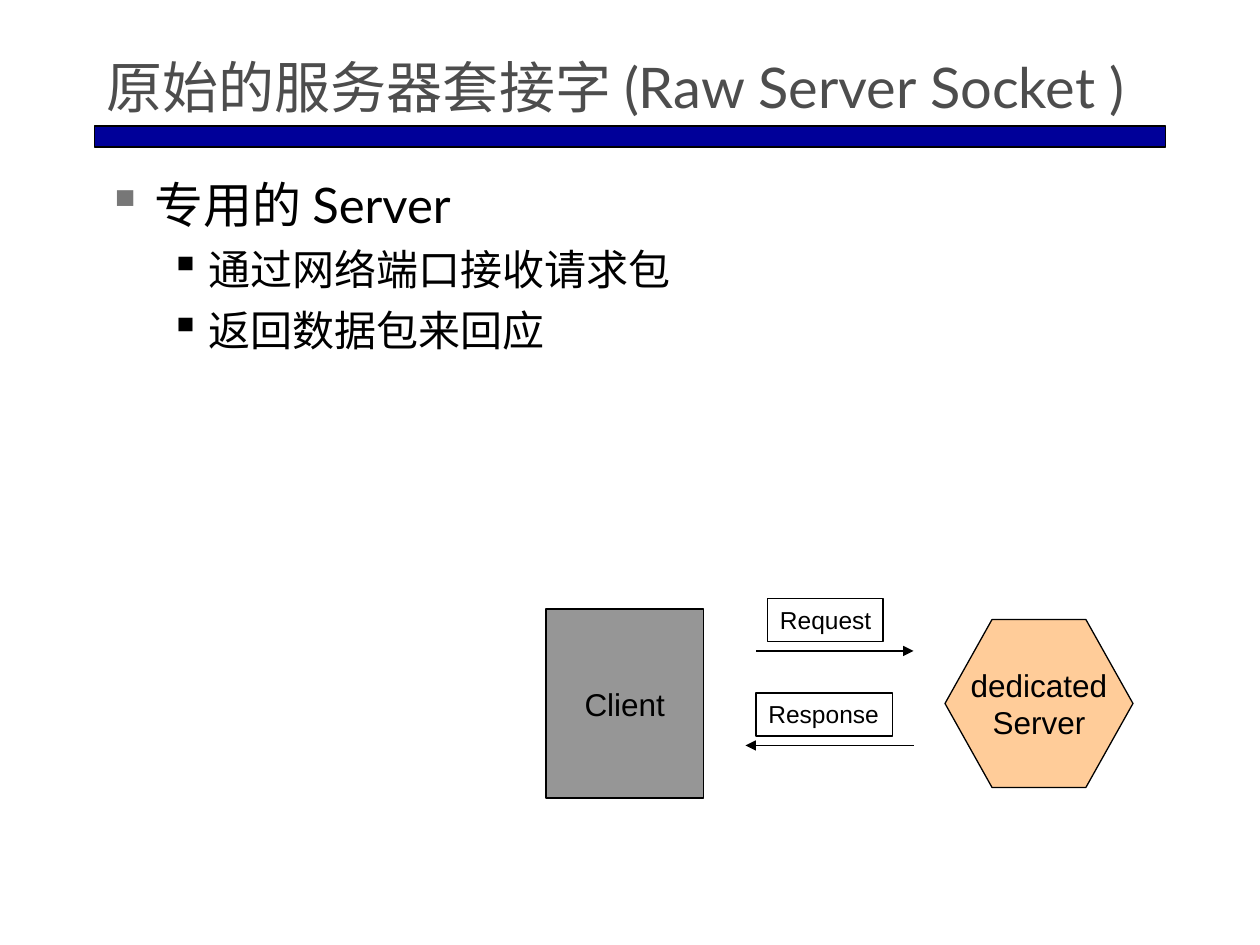
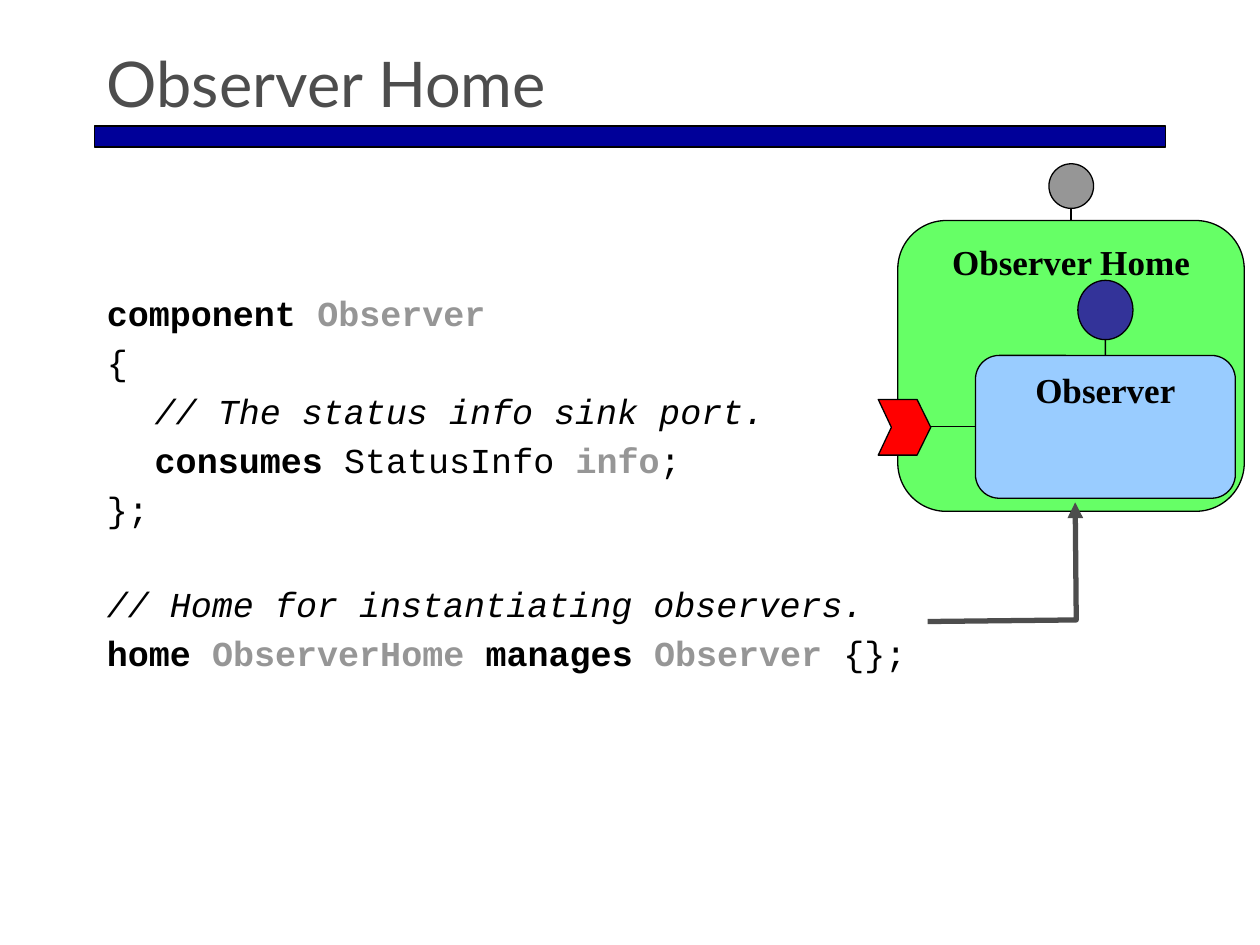
from lxml import etree
from pptx import Presentation
from pptx.dml.color import RGBColor
from pptx.enum.shapes import MSO_CONNECTOR, MSO_SHAPE
from pptx.enum.text import MSO_ANCHOR, PP_ALIGN
from pptx.oxml.ns import qn
from pptx.util import Inches, Pt

CELL = Inches(1) // 12  # the grid is 120 columns by 90 rows
LEFT_COLUMN, CONTENT_COLUMNS = 9, 102

BLACK = RGBColor(0x00, 0x00, 0x00)
NAVY = RGBColor(0x00, 0x00, 0x99)
INDIGO = RGBColor(0x33, 0x33, 0x99)
DARK_GRAY = RGBColor(0x4D, 0x4D, 0x4D)
BULLET_GRAY = RGBColor(0x77, 0x77, 0x77)
GRAY = RGBColor(0x96, 0x96, 0x96)
PEACH = RGBColor(0xFF, 0xCC, 0x99)
GREEN = RGBColor(0x66, 0xFF, 0x66)
SKY = RGBColor(0x99, 0xCC, 0xFF)
RED = RGBColor(0xFF, 0x00, 0x00)

HEADING_FONT, LABEL_FONT = "Lato", "Arial"
CODE_FONT, COMPONENT_FONT = "Courier New", "Times New Roman"
RECTANGLE, ROUNDED = MSO_SHAPE.RECTANGLE, MSO_SHAPE.ROUNDED_RECTANGLE
HEXAGON, OVAL = MSO_SHAPE.HEXAGON, MSO_SHAPE.OVAL
STRAIGHT = MSO_CONNECTOR.STRAIGHT
TOP, MIDDLE, BOTTOM = MSO_ANCHOR.TOP, MSO_ANCHOR.MIDDLE, MSO_ANCHOR.BOTTOM
LEFT, CENTER = PP_ALIGN.LEFT, PP_ALIGN.CENTER
TOP_SIDE, LEFT_SIDE = 0, 1


def place(page, kind, cells, fill=None):
    """Add a preset shape, or a wrapping text box if kind is None, on grid cells."""
    bounds = [round(CELL * cell) for cell in cells]
    if kind is None:
        box = page.shapes.add_textbox(*bounds)
        box.text_frame.word_wrap = True
        return box
    box = page.shapes.add_shape(kind, *bounds)
    box.shadow.inherit = False
    box.line.color.rgb = BLACK
    box.line.width = Pt(0.75)
    if fill is None:
        box.fill.background()
    else:
        box.fill.solid()
        box.fill.fore_color.rgb = fill
    box.text_frame.word_wrap = False
    return box


def write(para, text, *, size, font, color=BLACK, bold=False, italic=False, align=LEFT):
    para.alignment = align
    span = para.add_run()
    span.text = text
    span.font.size = Pt(size)
    span.font.name = font
    span.font.color.rgb = color
    span.font.bold = bold
    span.font.italic = italic


deck = Presentation()
deck.slide_width, deck.slide_height = CELL * 120, CELL * 90
blank = deck.slide_layouts[6]
connectors, arrows = [], []

# Shared title, band and body
pages, bodies = [], []
for title, size in (("原始的服务器套接字 (Raw Server Socket )", 32), ("Observer Home", 36)):
    page = deck.slides.add_slide(blank)
    place(page, RECTANGLE, (LEFT_COLUMN, 12, CONTENT_COLUMNS, 2), NAVY)
    title_box = place(page, None, (LEFT_COLUMN, 4, 107.8, 8))
    title_box.text_frame.vertical_anchor = BOTTOM
    write(title_box.text_frame.paragraphs[0], title,
          size=size, font=HEADING_FONT, color=DARK_GRAY)
    bodies.append(place(page, None, (LEFT_COLUMN, 16, CONTENT_COLUMNS, 64)).text_frame)
    pages.append(page)
socket_page, observer_page = pages
socket_body, code_body = bodies

# Server socket: bullets
bullets = [
    ("专用的 Server", 0, 28, 7, BULLET_GRAY),
    ("通过网络端口接收请求包", 1, 24, 6, BLACK),
    ("返回数据包来回应", 1, 24, 6, BLACK),
]
indents = [(0.38, -0.38), (0.81, -0.31)]
for index, (text, level, size, space, bullet_color) in enumerate(bullets):
    para = socket_body.add_paragraph() if index else socket_body.paragraphs[0]
    write(para, text, size=size, font=HEADING_FONT)
    para.level = level
    para.space_before = Pt(space)
    margin, indent = indents[level]
    properties = para._p.get_or_add_pPr()
    properties.set("marL", str(Inches(margin)))
    properties.set("indent", str(Inches(indent)))
    color_choice = etree.SubElement(properties, qn("a:buClr"))
    etree.SubElement(color_choice, qn("a:srgbClr"), val=str(bullet_color))
    etree.SubElement(properties, qn("a:buChar"), char="▪")

# Server socket: client, server and the messages between them
server = place(socket_page, HEXAGON, (90, 59, 17.9, 16), PEACH)
server.adjustments[0] = 0.28
client = place(socket_page, RECTANGLE, (52, 58, 15, 18), GRAY)
for box, lines in ((server, ("dedicated", "Server")), (client, ("Client",))):
    frame = box.text_frame
    frame.vertical_anchor = MIDDLE
    for index, line in enumerate(lines):
        para = frame.add_paragraph() if index else frame.paragraphs[0]
        write(para, line, size=18, font=LABEL_FONT, align=CENTER)

messages = [
    ("Request", (73.1, 57, 11, 4.1), 72, 87, 62),
    ("Response", (72, 66, 13, 4.1), 87, 71, 71),
]
for label, cells, start, end, row in messages:
    box = place(socket_page, RECTANGLE, cells)
    box.text_frame.vertical_anchor = TOP
    write(box.text_frame.paragraphs[0], label, size=14, font=LABEL_FONT)
    arrow = socket_page.shapes.add_connector(
        STRAIGHT, CELL * start, CELL * row, CELL * end, CELL * row)
    connectors.append(arrow)
    arrows.append(arrow)

# Observer home: code, each line as indent, space before and spans
plain, keyword = {}, {"bold": True}
comment, name = {"italic": True}, {"bold": True, "color": GRAY}
LINE_GAP, BLOCK_GAP = 6.3, 33
code = [
    (0, 0, [("component ", keyword), ("Observer", name)]),
    (0, LINE_GAP, [("{", plain)]),
    (0.38, LINE_GAP, [("// The status info sink port.", comment)]),
    (0.38, LINE_GAP, [("consumes", keyword), (" StatusInfo ", plain),
                      ("info", name), (";", plain)]),
    (0, LINE_GAP, [("};", plain)]),
    (0, BLOCK_GAP, [("// Home for instantiating observers.", comment)]),
    (0, LINE_GAP, [("home ", keyword), ("ObserverHome ", name), ("manages ", keyword),
                   ("Observer", name), (" {};", plain)]),
]
code_body.margin_top = Inches(1.02)
for index, (indent, space, spans) in enumerate(code):
    para = code_body.add_paragraph() if index else code_body.paragraphs[0]
    para.line_spacing = 0.9
    para.space_before = Pt(space)
    para._p.get_or_add_pPr().set("marL", str(Inches(indent)))
    for text, style in spans:
        write(para, text, size=20, font=CODE_FONT, **style)

# Observer home: component diagram
home = place(observer_page, ROUNDED, (85.5, 21, 33, 27.7), GREEN)
observer = place(observer_page, ROUNDED, (92.9, 33.85, 24.75, 13.6), SKY)
for box, label in ((home, "Observer Home"), (observer, "Observer")):
    box.text_frame.vertical_anchor = TOP
    write(box.text_frame.paragraphs[0], label,
          size=20, font=COMPONENT_FONT, bold=True, align=CENTER)

stems = [(observer, LEFT_SIDE, 88.4, 40.65), (observer, TOP_SIDE, 105.27, 28.1),
         (home, TOP_SIDE, 102, 16.7)]
for box, side, column, row in stems:
    end = round(CELL * column), round(CELL * row)
    stem = observer_page.shapes.add_connector(STRAIGHT, *end, *end)
    stem.begin_connect(box, side)
    connectors.append(stem)
place(observer_page, OVAL, (102.65, 26.7, 5.25, 5.65), INDIGO)
place(observer_page, OVAL, (99.9, 15.6, 4.25, 4.25), GRAY)

sink_port = [(83.65, 38.05), (87.35, 38.05), (88.65, 40.7),
             (87.35, 43.35), (83.65, 43.35), (84.9, 40.7)]
manages_arrow = [(88.35, 59.2), (102.5, 59.05), (102.4, 47.85)]
outlines = []
for corners, closed in ((sink_port, True), (manages_arrow, False)):
    points = [(round(CELL * column), round(CELL * row)) for column, row in corners]
    builder = observer_page.shapes.build_freeform(*points[0])
    builder.add_line_segments(points[1:], close=closed)
    outline = builder.convert_to_shape()
    outline.shadow.inherit = False
    outlines.append(outline)
port, pointer = outlines
port.fill.solid()
port.fill.fore_color.rgb = RED
port.line.color.rgb = BLACK
port.line.width = Pt(0.75)
pointer.fill.background()
pointer.line.color.rgb = DARK_GRAY
pointer.line.width = Pt(3)
arrows.append(pointer)

# Line styles and arrowheads
for connector in connectors:
    connector.line.color.rgb = BLACK
    connector.line.width = Pt(0.75)
    etree.SubElement(connector._element.spPr, qn("a:effectLst"))
for arrow in arrows:
    etree.SubElement(arrow.line._get_or_add_ln(), qn("a:tailEnd"), type="triangle")

deck.save("out.pptx")
